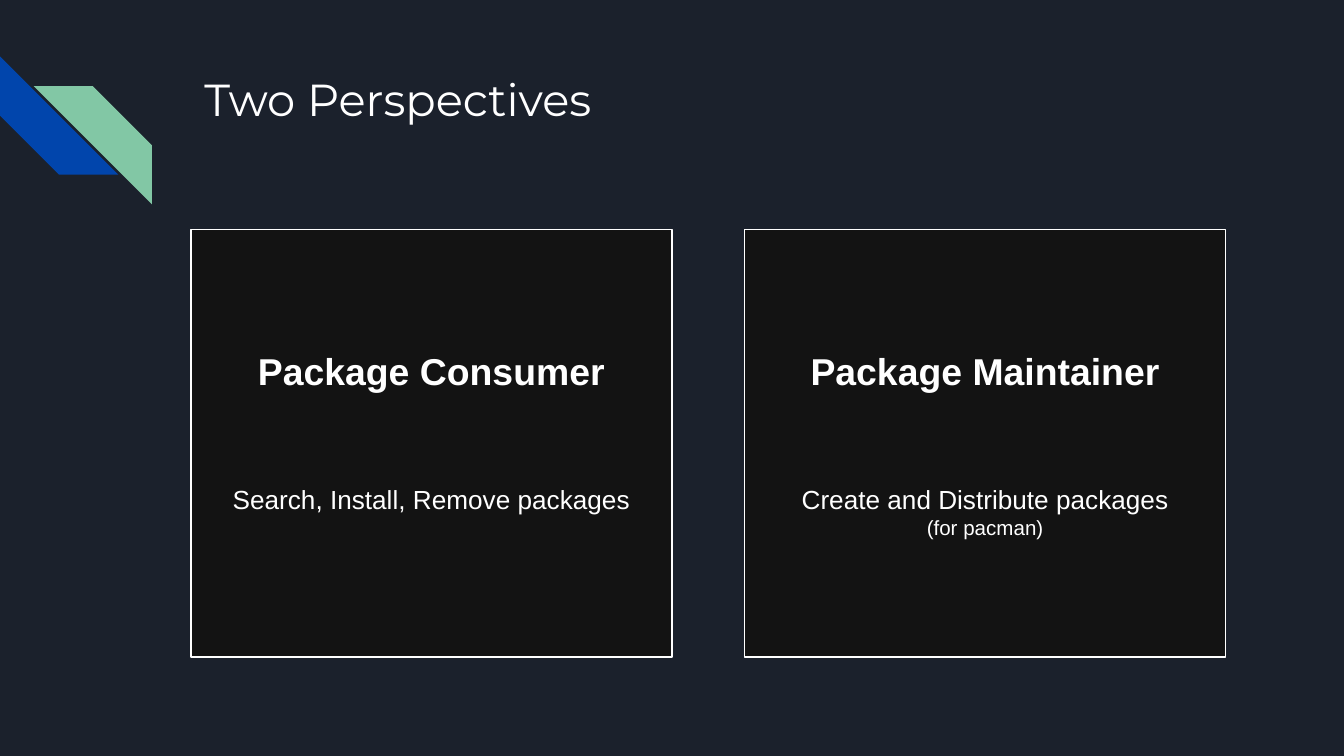
from pptx import Presentation
from pptx.dml.color import RGBColor
from pptx.enum.shapes import MSO_SHAPE
from pptx.enum.text import MSO_ANCHOR, PP_ALIGN
from pptx.util import Inches, Pt

NAVY = RGBColor(0x1B, 0x21, 0x2C)
BLUE = RGBColor(0x01, 0x45, 0xAC)
GREEN = RGBColor(0x82, 0xC7, 0xA5)
BLACK = RGBColor(0x13, 0x13, 0x13)
WHITE = RGBColor(0xFF, 0xFF, 0xFF)

TITLE = "Two Perspectives"
CARDS = [
    ("Package Consumer", "Search, Install, Remove packages", None),
    ("Package Maintainer", "Create and Distribute packages", "(for pacman)"),
]
LINE_STYLES = [(20, True, 0), (14, False, 48.5), (11, False, 0)]

SLIDE_WIDTH = Inches(10)
SLIDE_HEIGHT = SLIDE_WIDTH * 9 // 16
CARD_LEFT, CARD_TOP = 1.42, 1.71
CARD_WIDTH, CARD_HEIGHT = 3.58, 3.18
CARD_STEP = 4.12
STRIPE_SIZE = 0.88
MARGIN = 0.1
NOTE_HEIGHT = 0.18


def set_margins(text_frame, bottom=MARGIN):
    text_frame.margin_left = text_frame.margin_right = Inches(MARGIN)
    text_frame.margin_top = Inches(MARGIN)
    text_frame.margin_bottom = Inches(bottom)
    text_frame.word_wrap = True


def format_font(paragraph, name, size, bold=False):
    for run in paragraph.runs:
        run.font.name = name
        run.font.size = Pt(size)
        run.font.bold = bold
        run.font.color.rgb = WHITE


def add_filled(slide, kind, left, top, width, height, color):
    shape = slide.shapes.add_shape(
        kind, Inches(left), Inches(top), Inches(width), Inches(height))
    shape.shadow.inherit = False
    shape.fill.solid()
    shape.fill.fore_color.rgb = color
    shape.line.fill.background()
    return shape


def add_stripe(slide, left, top, color):
    return add_filled(slide, MSO_SHAPE.DIAGONAL_STRIPE, left, top,
                      STRIPE_SIZE, STRIPE_SIZE, color)


def add_title(slide):
    title = slide.shapes.title
    title.left, title.top = Inches(CARD_LEFT), Inches(0.43)
    title.width, title.height = Inches(7.7), Inches(1)
    text_frame = title.text_frame
    text_frame.text = TITLE
    text_frame.vertical_anchor = MSO_ANCHOR.TOP
    set_margins(text_frame)
    paragraph = text_frame.paragraphs[0]
    paragraph.alignment = PP_ALIGN.LEFT
    format_font(paragraph, "Montserrat", 24)


def add_card(slide, left, lines):
    card = add_filled(slide, MSO_SHAPE.RECTANGLE, left, CARD_TOP,
                      CARD_WIDTH, CARD_HEIGHT, BLACK)
    card.line.color.rgb = WHITE
    card.line.width = Pt(0.75)
    texts = [line for line in lines if line]
    text_frame = card.text_frame
    text_frame.text = "\n".join(texts)
    text_frame.vertical_anchor = MSO_ANCHOR.MIDDLE
    missing_notes = len(lines) - len(texts)
    set_margins(text_frame, MARGIN + NOTE_HEIGHT * missing_notes)
    for paragraph, (size, bold, gap) in zip(text_frame.paragraphs, LINE_STYLES):
        paragraph.alignment = PP_ALIGN.CENTER
        paragraph.space_before = Pt(gap)
        format_font(paragraph, "Arial", size, bold)


def main():
    presentation = Presentation()
    presentation.slide_width = SLIDE_WIDTH
    presentation.slide_height = SLIDE_HEIGHT
    slide = presentation.slides.add_slide(presentation.slide_layouts[5])
    slide.background.fill.solid()
    slide.background.fill.fore_color.rgb = NAVY

    blue_stripe = add_stripe(slide, 0, 0.42, BLUE)
    blue_stripe.rotation = 270
    green_stripe = add_stripe(slide, 0.25, 0.64, GREEN)
    green_stripe.element.spPr.xfrm.set("flipH", "1")

    add_title(slide)
    for index, lines in enumerate(CARDS):
        add_card(slide, CARD_LEFT + index * CARD_STEP, lines)
    presentation.save("out.pptx")


if __name__ == "__main__":
    main()
